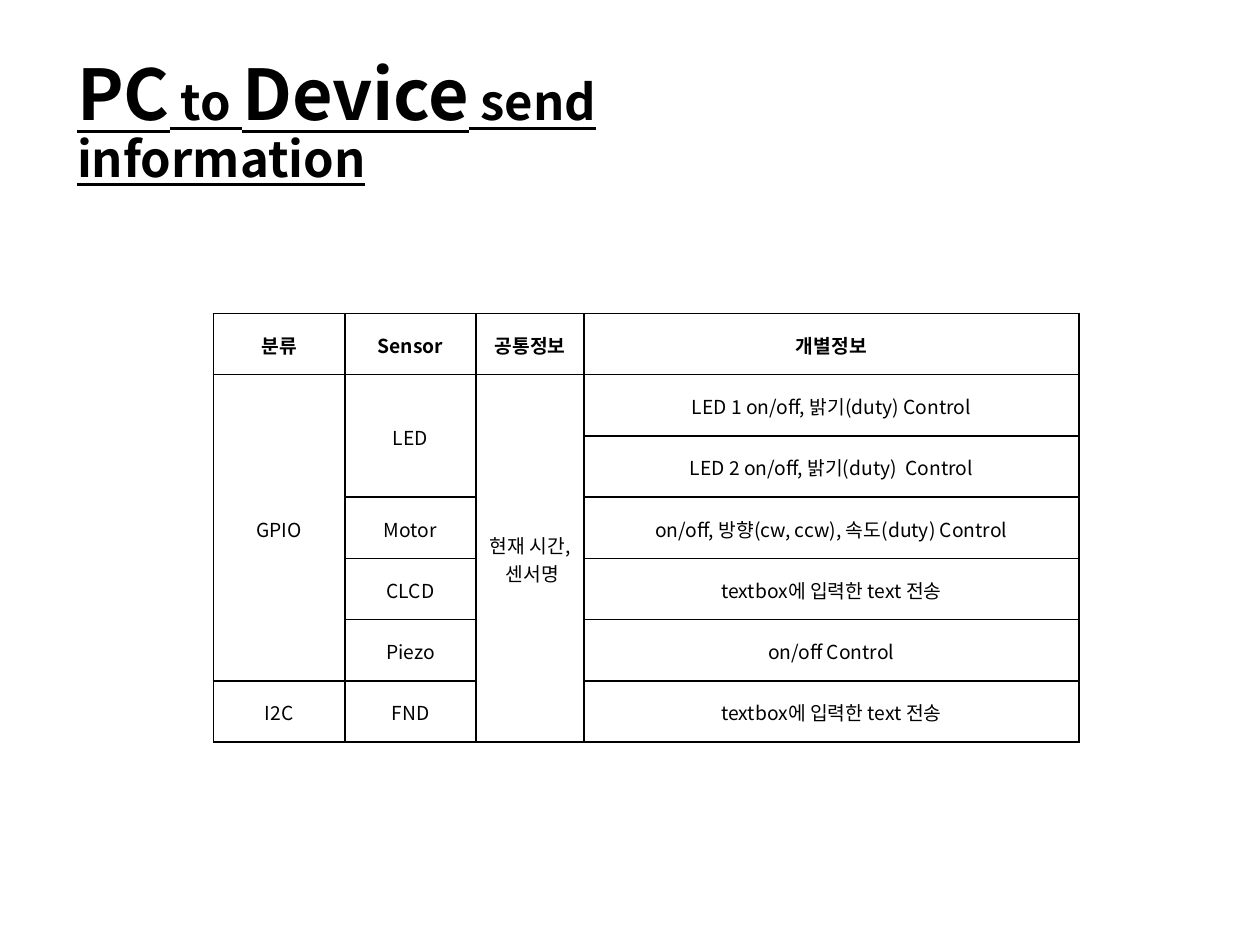
import pptx
import pptx.util
import pptx.dml.color
import pptx.enum.text
import pptx.oxml.ns
from lxml import etree

COLOURS = {"ink": "000000"}
FONT = "Noto Sans CJK KR"
TITLE = [("PC", 40), (" to ", 28), ("Device", 40), (" send information", 28)]
COLUMNS = [2.65, 2.65, 2.17, 9.98]
ROWS = [
    ["분류", "Sensor", "공통정보", "개별정보"],
    ["GPIO", "LED", "현재 시간,\n 센서명", "LED 1 on/off, 밝기(duty) Control"],
    ["", "", "", "LED 2 on/off, 밝기(duty)  Control"],
    ["", "Motor", "", "on/off, 방향(cw, ccw), 속도(duty) Control"],
    ["", "CLCD", "", "textbox에 입력한 text 전송"],
    ["", "Piezo", "", "on/off Control"],
    ["I2C", "FND", "", "textbox에 입력한 text 전송"],
]
MERGES = [(1, 0, 5), (1, 1, 2), (1, 2, 6)]


def cm(value):
    """Return a length in centimetres."""
    return pptx.util.Cm(value)


def add_child(parent, tag, **attributes):
    """Append a DrawingML element to its parent."""
    return etree.SubElement(parent, pptx.oxml.ns.qn(tag), attributes)


def style_font(font, properties, bold):
    """Set the shared typeface, weight and colour."""
    font.name = FONT
    font.bold = bold
    font.color.rgb = pptx.dml.color.RGBColor.from_string(COLOURS["ink"])
    add_child(properties, "a:ea", typeface=FONT)


def place_title(page, left, top, width, height):
    """Place the underlined title with its two text sizes."""
    title = page.shapes.title
    title.left, title.top, title.width, title.height = map(cm, (left, top, width, height))
    frame = title.text_frame
    frame.word_wrap = True
    frame.auto_size = pptx.enum.text.MSO_AUTO_SIZE.SHAPE_TO_FIT_TEXT
    frame.vertical_anchor = pptx.enum.text.MSO_ANCHOR.TOP
    para = frame.paragraphs[0]
    para.alignment = pptx.enum.text.PP_ALIGN.LEFT
    para.line_spacing = 0.88
    for text, size in TITLE:
        span = para.add_run()
        span.text = text
        span.font.size = pptx.util.Pt(size)
        span.font.underline = True
        style_font(span.font, span._r.get_or_add_rPr(), True)


def border_cell(cell):
    """Draw a thin line on all four sides of a cell."""
    properties = cell._tc.get_or_add_tcPr()
    for side in "LRTB":
        line = add_child(properties, f"a:ln{side}", w=str(pptx.util.Pt(1)))
        add_child(add_child(line, "a:solidFill"), "a:srgbClr", val=COLOURS["ink"])


def fill_cell(cell, text, bold):
    """Format one cell and write its centred text."""
    border_cell(cell)
    cell.fill.background()
    cell.margin_left = cell.margin_right = cell.margin_top = cm(0.03)
    cell.margin_bottom = 0
    cell.vertical_anchor = pptx.enum.text.MSO_ANCHOR.MIDDLE
    cell.text_frame.text = text
    for para in cell.text_frame.paragraphs:
        para.alignment = pptx.enum.text.PP_ALIGN.CENTER
        para.font.size = pptx.util.Pt(11)
        style_font(para.font, para._p.pPr.defRPr, bold)
        for span in para.runs:
            span.font.size = pptx.util.Pt(11)
            style_font(span.font, span._r.get_or_add_rPr(), bold)


def place_table(page, left, top, width, height):
    """Place the sensor table in the given box."""
    box = page.shapes.add_table(len(ROWS), len(COLUMNS), *map(cm, (left, top, width, height)))
    table = box.table
    table.first_row = table.horz_banding = False
    for column, share in zip(table.columns, COLUMNS):
        column.width = cm(width * share / sum(COLUMNS))
    for row_index, texts in enumerate(ROWS):
        table.rows[row_index].height = cm(height / len(ROWS))
        for column_index, text in enumerate(texts):
            fill_cell(table.cell(row_index, column_index), text, row_index == 0)
    for row, column, count in MERGES:
        table.cell(row, column).merge(table.cell(row + count - 1, column))


def main():
    """Build the slide and save it."""
    deck = pptx.Presentation()
    deck.slide_width, deck.slide_height = cm(25.4), cm(19.05)
    page = deck.slides.add_slide(deck.slide_layouts[5])
    place_title(page, 1.3, 1.12, 16.05, 1.96)
    place_table(page, 4.3, 6.32, 17.45, 8.64)
    deck.save("out.pptx")


main()
